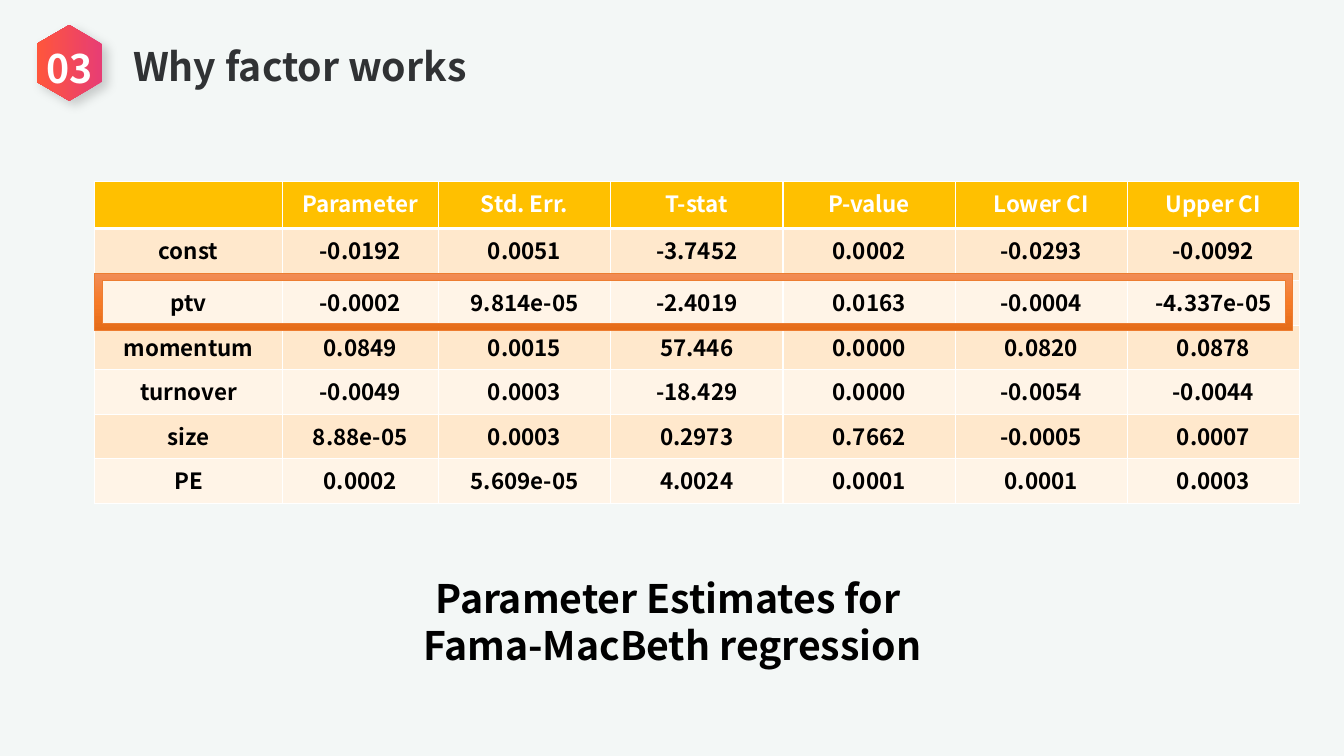
"""Build the slide with the Fama-MacBeth parameter estimates."""
import copy

import pptx
import pptx.dml.color
import pptx.enum.shapes
import pptx.enum.text
import pptx.oxml
import pptx.oxml.ns
import pptx.util
from lxml import etree

Cm = pptx.util.Cm
Pt = pptx.util.Pt
RGB = pptx.dml.color.RGBColor.from_string
SHAPE = pptx.enum.shapes.MSO_SHAPE
ALIGN = pptx.enum.text.PP_ALIGN
qn = pptx.oxml.ns.qn

FONT = "Noto Sans CJK SC"
COLORS = {
    "background": "F3F7F6",
    "title": "303234",
    "text": "000000",
    "white": "FFFFFF",
    "header": "FFC000",
    "odd": "FFE8CC",
    "even": "FFF4E7",
    "frame_line": "ED7D31",
}
BADGE_STOPS = ["E73D74", "FF563C"]
FRAME_STOPS = ["F18C57", "F67B28", "E56C19"]


def fill_gradient(sp, colors):
    sp.fill.gradient()
    sp.fill.gradient_angle = 270
    stops = sp._element.spPr.find(qn("a:gradFill")).find(qn("a:gsLst"))
    while len(stops) < len(colors):
        stops.append(copy.deepcopy(stops[0]))
    for i, (stop, color) in enumerate(zip(sp.fill.gradient_stops, colors)):
        stop.color.rgb = RGB(color)
        stop.position = i / (len(colors) - 1)


def write_lines(tf, lines, size, color, align, spacing=None):
    for i, line in enumerate(lines):
        p = tf.paragraphs[0] if i == 0 else tf.add_paragraph()
        p.alignment = align
        p.line_spacing = spacing
        p.space_before = Pt(0)
        r = p.add_run()
        r.text = line
        r.font.name = FONT
        r.font.size = Pt(size)
        r.font.bold = True
        r.font.color.rgb = RGB(COLORS[color])
        ea = etree.SubElement(r.font._element, qn("a:ea"))
        ea.set("typeface", FONT)


prs = pptx.Presentation()
prs.slide_width = Cm(33.87)
prs.slide_height = Cm(19.05)
s = prs.slides.add_slide(prs.slide_layouts[5])
s.background.fill.solid()
s.background.fill.fore_color.rgb = RGB(COLORS["background"])

badge = s.shapes.add_shape(SHAPE.HEXAGON, Cm(0.79), Cm(0.76), Cm(1.91), Cm(1.65))
badge.rotation = 90
badge.adjustments[0] = 0.29
fill_gradient(badge, BADGE_STOPS)
badge.line.fill.background()
badge.shadow.inherit = False
effects = badge._element.spPr.find(qn("a:effectLst"))
shadow = etree.SubElement(effects, qn("a:outerShdw"))
for key, value in {"blurRad": Pt(8), "dist": Pt(5), "dir": 45 * 60000,
                   "algn": "tl", "rotWithShape": 0}.items():
    shadow.set(key, str(int(value)) if key != "algn" else value)
shade = etree.SubElement(shadow, qn("a:srgbClr"), val=COLORS["text"])
etree.SubElement(shade, qn("a:alpha"), val="18000")

title = s.shapes.title
title.left, title.top, title.width, title.height = Cm(3.1), Cm(0.86), Cm(9.5), Cm(1.45)
number = s.shapes.add_textbox(Cm(0.79), Cm(0.91), Cm(1.93), Cm(1.45))
caption = s.shapes.add_textbox(Cm(7.39), Cm(14.27), Cm(19.1), Cm(2.64))
for sp, lines, color, align in [
    (title, ["Why factor works"], "title", ALIGN.LEFT),
    (number, ["03"], "white", ALIGN.CENTER),
    (caption, ["Parameter Estimates for ", "Fama-MacBeth regression"], "text", ALIGN.CENTER),
]:
    tf = sp.text_frame
    tf.word_wrap = True
    tf.auto_size = pptx.enum.text.MSO_AUTO_SIZE.NONE
    tf.vertical_anchor = pptx.enum.text.MSO_ANCHOR.TOP
    tf.margin_top = Cm(0.2)
    tf.margin_bottom = Cm(0.05)
    write_lines(tf, lines, 28, color, align, Pt(33.6))

rows = [
    ["", "Parameter", "Std. Err.", "T-stat", "P-value", "Lower CI", "Upper CI"],
    ["const", "-0.0192", "0.0051", "-3.7452", "0.0002", "-0.0293", "-0.0092"],
    ["ptv", "-0.0002", "9.814e-05", "-2.4019", "0.0163", "-0.0004", "-4.337e-05"],
    ["momentum", "0.0849", "0.0015", "57.446", "0.0000", "0.0820", "0.0878"],
    ["turnover", "-0.0049", "0.0003", "-18.429", "0.0000", "-0.0054", "-0.0044"],
    ["size", "8.88e-05", "0.0003", "0.2973", "0.7662", "-0.0005", "0.0007"],
    ["PE", "0.0002", "5.609e-05", "4.0024", "0.0001", "0.0001", "0.0003"],
]
widths = [4.72, 3.94] + [4.34] * 5
heights = [1.19, 1.3, 1.14] + [1.12] * 4
table = s.shapes.add_table(len(rows), len(widths), Cm(2.39), Cm(4.57),
                           Cm(sum(widths)), Cm(sum(heights))).table
for column, width in zip(table.columns, widths):
    column.width = Cm(width)
for i, (row, height) in enumerate(zip(rows, heights)):
    table.rows[i].height = Cm(height)
    band = "header" if i == 0 else "odd" if i % 2 else "even"
    for j, value in enumerate(row):
        cell = table.cell(i, j)
        tcPr = cell._tc.get_or_add_tcPr()
        for side in ["L", "R", "T", "B"]:
            thick = (i, side) in [(0, "B"), (1, "T")]
            ln = etree.SubElement(tcPr, qn("a:ln" + side), w=str(int(Pt(3 if thick else 1))))
            solid = etree.SubElement(ln, qn("a:solidFill"))
            etree.SubElement(solid, qn("a:srgbClr"), val=COLORS["white"])
        cell.fill.solid()
        cell.fill.fore_color.rgb = RGB(COLORS[band])
        if value:
            write_lines(cell.text_frame, [value], 16,
                        "white" if i == 0 else "text", ALIGN.CENTER)

frame = s.shapes.add_shape(SHAPE.FRAME, Cm(2.39), Cm(6.88), Cm(30.18), Cm(1.45))
fill_gradient(frame, FRAME_STOPS)
frame.line.color.rgb = RGB(COLORS["frame_line"])
frame.line.width = Pt(0.5)
frame.shadow.inherit = False

prs.save("out.pptx")
